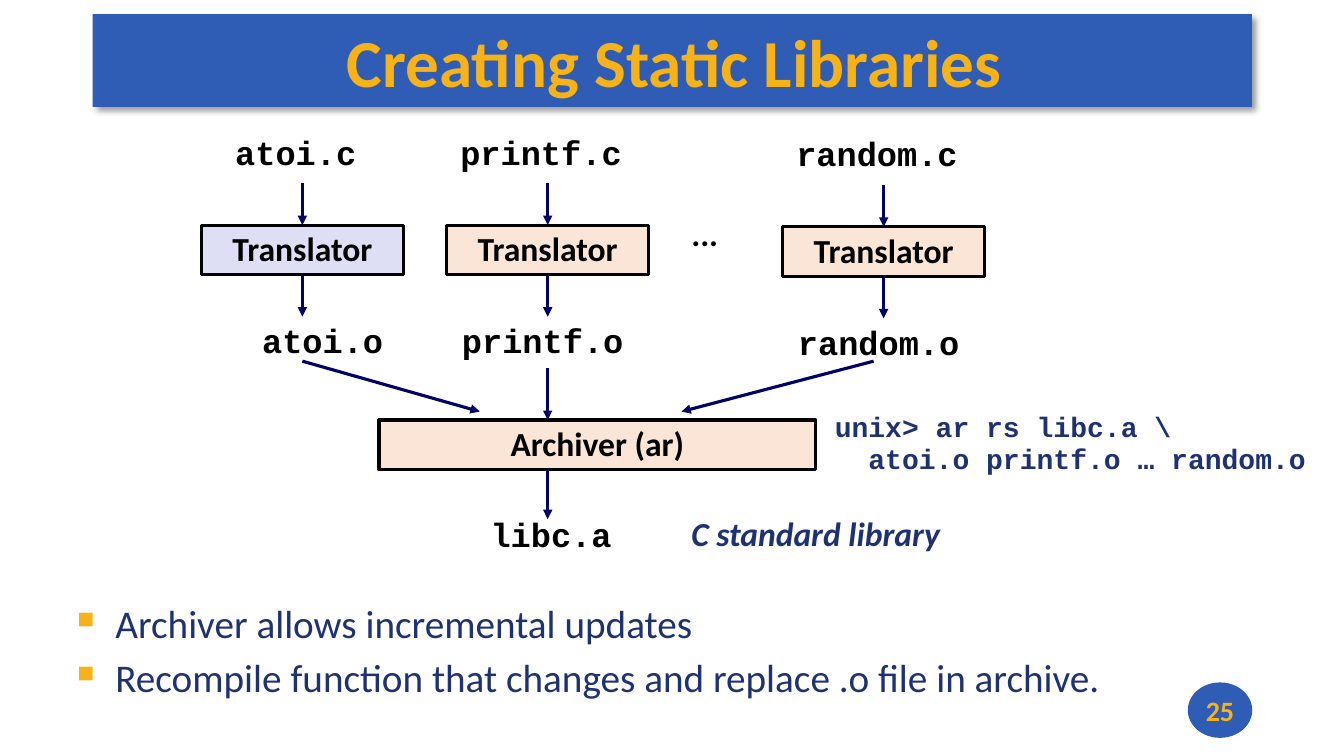
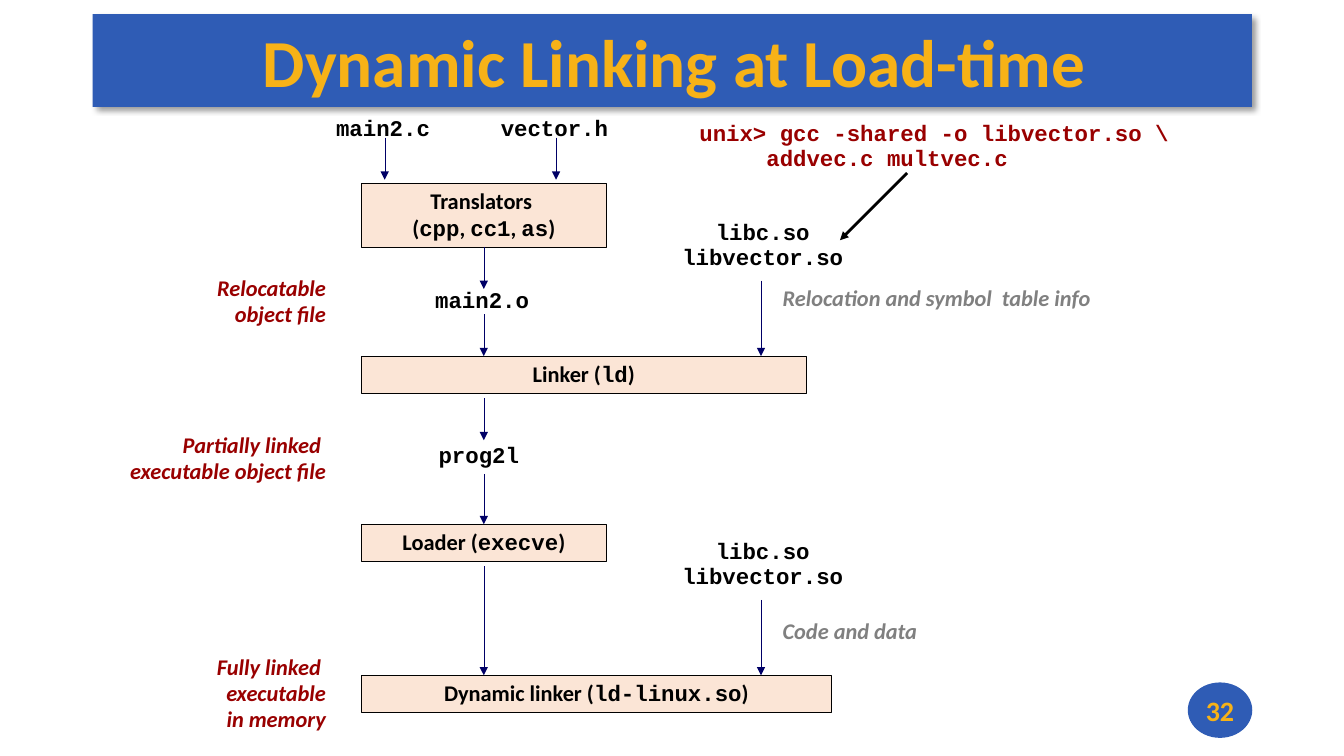
from lxml import etree
from pptx import Presentation
from pptx.dml import color
from pptx.enum import shapes, text
from pptx.oxml import ns
from pptx import util as u

COLUMNS, ROWS = 80, 45
SANS, MONO = "Calibri", "Courier New"
COLOURS = {
    "band": "2F5CB5", "gold": "F7B217", "navy": "1E3272", "arrow": "000066",
    "black": "000000", "peach": "FBE5D6", "lilac": "DEDFF5",
    "red": "990000", "grey": "808080",
}
LEFT, CENTER, RIGHT = text.PP_ALIGN.LEFT, text.PP_ALIGN.CENTER, text.PP_ALIGN.RIGHT


def rgb(name):
    return color.RGBColor.from_string(COLOURS[name])


def add_xml(parent, tag, **attributes):
    return etree.SubElement(parent, ns.qn(tag), attributes)


class Deck:
    def __init__(self):
        self.deck = Presentation()
        self.deck.slide_width = u.Inches(13.33)
        self.deck.slide_height = u.Inches(7.5)
        self.page = None

    def across(self, columns):
        return round(self.deck.slide_width * columns / COLUMNS)

    def down(self, rows):
        return round(self.deck.slide_height * rows / ROWS)

    def area(self, left, top, width, height):
        return self.across(left), self.down(top), self.across(width), self.down(height)

    def start_page(self, title, number, size, weight):
        self.page = self.deck.slides.add_slide(self.deck.slide_layouts[6])
        self.size, self.weight = size, weight
        band = self.shape(shapes.MSO_SHAPE.RECTANGLE, 5.52, 0.84, 69, 5.52, "band")
        effects = band._element.spPr.find(ns.qn("a:effectLst"))
        shadow = add_xml(effects, "a:outerShdw", blurRad=str(u.Pt(4)), dist=str(u.Pt(3)),
                         dir="2700000", algn="tl", rotWithShape="0")
        tint = add_xml(shadow, "a:srgbClr", val=COLOURS["black"])
        add_xml(tint, "a:alpha", val="40000")
        self.add_lines(band, [title], colour="gold", size=48, align=CENTER, spacing=1)
        band.text_frame.margin_left = u.Inches(0.04)
        band.text_frame.margin_right = 0
        badge = self.shape(shapes.MSO_SHAPE.OVAL, 70.7, 40.62, 3.84, 3.3, "band")
        self.add_lines(badge, [number], colour="gold", size=20, align=CENTER, spacing=1)
        badge.text_frame.margin_left = badge.text_frame.margin_right = 0

    def shape(self, kind, left, top, width, height, fill):
        shape = self.page.shapes.add_shape(kind, *self.area(left, top, width, height))
        shape.shadow.inherit = False
        shape.fill.solid()
        shape.fill.fore_color.rgb = rgb(fill)
        shape.line.fill.background()
        shape.text_frame.vertical_anchor = text.MSO_ANCHOR.MIDDLE
        return shape

    def add_lines(self, box, lines, colour="black", size=None, fonts=(SANS, MONO),
                  align=LEFT, bold=True, italic=False, spacing=None):
        frame = box.text_frame
        frame.word_wrap = True
        for index, line in enumerate(lines):
            para = frame.paragraphs[0] if index == 0 else frame.add_paragraph()
            para.alignment = align
            para.line_spacing = spacing or (0.94 if fonts[0] == MONO else 0.98)
            parts = [line] if isinstance(line, str) else line
            for position, part in enumerate(parts):
                span = para.add_run()
                span.text = part
                span.font.name = fonts[position % 2]
                span.font.size = u.Pt(size or self.size)
                span.font.bold = bold
                span.font.italic = italic
                span.font.color.rgb = rgb(colour)

    def step(self, lines, left, top, width, height, fill="peach"):
        box = self.shape(shapes.MSO_SHAPE.RECTANGLE, left, top, width, height, fill)
        box.line.color.rgb = rgb("black")
        box.line.width = u.Pt(self.weight)
        self.add_lines(box, lines, align=CENTER)
        return box

    def note(self, lines, left, top, width, height=3, **style):
        box = self.page.shapes.add_textbox(*self.area(left, top, width, height))
        self.add_lines(box, lines, **style)
        return box

    def files(self, names, center, top):
        self.note(names, center - 6, top, 12, fonts=(MONO, MONO), align=CENTER)

    def bullets(self, lines, left, top, width, height):
        box = self.note(lines, left, top, width, height, colour="navy", size=28,
                        bold=False, spacing=1)
        for index, para in enumerate(box.text_frame.paragraphs):
            if index:
                para.space_before = u.Pt(5)
            properties = para._p.get_or_add_pPr()
            indent = u.Inches(0.38)
            properties.set("marL", str(indent))
            properties.set("indent", str(-indent))
            tint = add_xml(properties, "a:buClr")
            add_xml(tint, "a:srgbClr", val=COLOURS["gold"])
            add_xml(properties, "a:buSzPct", val="60000")
            add_xml(properties, "a:buChar", char="■")

    def arrow(self, start, end, above=None, below=None, colour="arrow", weight=None):
        line = self.page.shapes.add_connector(
            shapes.MSO_CONNECTOR.STRAIGHT, self.across(start[0]), self.down(start[1]),
            self.across(end[0]), self.down(end[1]))
        if above is not None:
            line.begin_connect(above, 2)
        if below is not None:
            line.end_connect(below, 0)
        line.line.color.rgb = rgb(colour)
        line.line.width = u.Pt(weight or self.weight)
        properties = line._element.spPr
        add_xml(properties.get_or_add_ln(), "a:tailEnd", type="triangle")
        add_xml(properties, "a:effectLst")


def static_libraries(deck):
    deck.start_page("Creating Static Libraries", "25", size=24, weight=2.25)
    chains = [("atoi", 18, 19.2, 0, "lilac"), ("printf", 32.6, 32.3, 0, "peach"),
              ("random", 52.6, 52.3, 0.1, "peach")]
    for name, center, object_center, drop, fill in chains:
        deck.files([name + ".c"], center - 0.4, 7.74 + drop)
        box = deck.step(["Translator"], center - 6, 13.4 + drop, 12, 2.95, fill)
        deck.arrow((center, 10.9 + drop), (center, 13.4 + drop), below=box)
        deck.arrow((center, 16.35 + drop), (center, 18.85 + drop), above=box)
        deck.files([name + ".o"], object_center, 18.96 + drop)
    deck.note(["..."], 40.56, 12.5, 3)
    deck.step(["Archiver (ar)"], 22.56, 25, 26, 2.95)
    for start, end in [((18, 21.5), (28.56, 24.5)), ((32.6, 21.9), (32.6, 25)),
                       ((52, 21.5), (40.56, 24.5)), ((32.6, 27.9), (32.6, 30.9))]:
        deck.arrow(start, end)
    deck.note(["unix> ar rs libc.a \\", "  atoi.o printf.o … random.o"],
              49.1, 24.24, 30, 4.4, colour="navy", size=20, fonts=(MONO, MONO))
    deck.files(["libc.a"], 32.8, 30.5)
    deck.note(["C standard library"], 40.56, 30.36, 26, colour="navy", italic=True)
    deck.bullets(["Archiver allows incremental updates",
                  "Recompile function that changes and replace .o file in archive."],
                 4, 35.4, 72.7, 7)


def dynamic_linking(deck):
    deck.start_page("Dynamic Linking at Load-time", "32", size=16, weight=0.25)
    left, spine, library = 21.5, 28.8, 45.3
    translators = deck.step(["Translators ", ("(", "cpp", ", ", "cc1", ", ", "as", ")")],
                            left, 10.9, 14.6, 3.8)
    deck.step([("Linker (", "ld", ")")], left, 21.2, 26.5, 2.2)
    loader = deck.step([("Loader (", "execve", ")")], left, 31.2, 14.6, 2.2)
    deck.step([("Dynamic linker (", "ld-linux.so", ")")], left, 40.2, 28, 2.2)

    libraries = ["libc.so", "libvector.so"]
    for names, center, top in [(["main2.c"], 22.8, 6.66), (["vector.h"], 33, 6.66),
                               (["main2.o"], 28.7, 16.86), (["prog2l"], 28.5, 26.1),
                               (libraries, 45.4, 12.8), (libraries, 45.4, 31.8)]:
        deck.files(names, center, top)

    for center, top, bottom, above, below in [
            (22.9, 8.2, 10.7, None, None), (33.1, 8.2, 10.7, None, None),
            (spine, 14.7, 17.2, translators, None), (spine, 18.7, 21.2, None, None),
            (spine, 23.7, 26.2, None, None), (spine, 28.2, 31.2, None, loader),
            (spine, 33.7, 40.2, None, None),
            (library, 16.7, 21.2, None, None), (library, 35.7, 40.2, None, None)]:
        deck.arrow((center, top), (center, bottom), above, below)

    for lines, top in [(["Relocatable", "object file"], 16.1),
                       (["Partially linked ", "executable object file"], 25.44),
                       (["Fully linked ", "executable", "in memory"], 38.64)]:
        deck.note(lines, 2, top, 18, colour="red", align=RIGHT, italic=True)
    for line, top in [("Relocation and symbol  table info", 16.7), ("Code and data", 36.5)]:
        deck.note([line], 46, top, 23, colour="grey", italic=True)
    deck.note(["unix> gcc -shared -o libvector.so \\", "     addvec.c multvec.c"],
              41.04, 6.9, 30, 3.7, colour="red", fonts=(MONO, MONO))
    deck.arrow((54, 10.3), (50, 14.3), colour="black", weight=2)


def main():
    deck = Deck()
    static_libraries(deck)
    dynamic_linking(deck)
    deck.deck.save("out.pptx")


if __name__ == "__main__":
    main()
